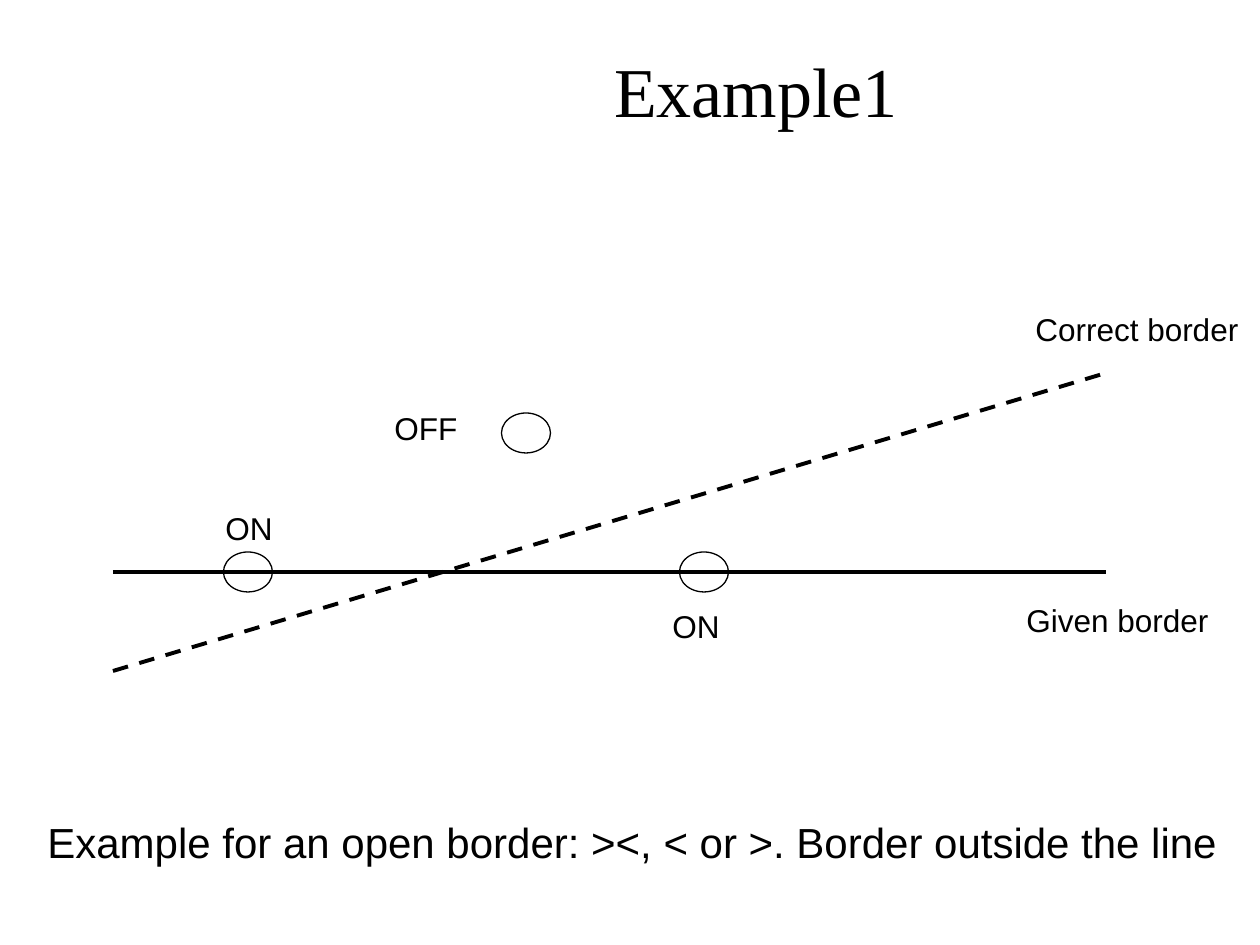
from lxml.etree import SubElement
from pptx import Presentation
from pptx.dml.color import RGBColor
from pptx.enum.dml import MSO_LINE
from pptx.enum.shapes import MSO_CONNECTOR, MSO_SHAPE
from pptx.enum.text import MSO_ANCHOR, PP_ALIGN
from pptx.oxml.ns import qn
from pptx.util import Pt

SCALE = 914400 / 126
COLORS = {"ink": "000000", "paper": "FFFFFF"}
LEFT, RIGHT = 113, 1106
GIVEN = 572
DOT_W, DOT_H = 49, 40


def px(n):
    return round(n * SCALE)


def color(name):
    return RGBColor.from_string(COLORS[name])


def write(frame, text, size=18, face="Arial", align=PP_ALIGN.LEFT,
          anchor=MSO_ANCHOR.TOP, wrap=False):
    frame.word_wrap = wrap
    frame.vertical_anchor = anchor
    para = frame.paragraphs[0]
    para.alignment = align
    run = para.add_run()
    run.text = text
    run.font.size = Pt(size)
    run.font.name = face
    run.font.color.rgb = color("ink")


def add_title(slide, text):
    title = slide.shapes.title
    title.left, title.top = px(353), px(26)
    title.width, title.height = px(806), px(127)
    write(title.text_frame, text, size=40, face="Times New Roman",
          align=PP_ALIGN.CENTER, anchor=MSO_ANCHOR.MIDDLE, wrap=True)


def add_label(slide, text, x, y, w, h=50, **style):
    box = slide.shapes.add_textbox(px(x), px(y), px(w), px(h))
    write(box.text_frame, text, **style)


def add_border(slide, start, end, dash=None):
    """Draw a border across the full width between two heights."""
    line = slide.shapes.add_connector(
        MSO_CONNECTOR.STRAIGHT, px(LEFT), px(start), px(RIGHT), px(end))
    line.line.color.rgb = color("ink")
    line.line.width = Pt(2.25)
    if dash:
        line.line.dash_style = dash
    SubElement(line._element.spPr, qn("a:effectLst"))


def add_point(slide, x, y):
    """Draw a test point centred on x, y."""
    dot = slide.shapes.add_shape(
        MSO_SHAPE.OVAL, px(x - DOT_W / 2), px(y - DOT_H / 2),
        px(DOT_W), px(DOT_H))
    dot.shadow.inherit = False
    dot.fill.background()
    dot.line.color.rgb = color("ink")
    dot.line.width = Pt(0.75)


def main():
    deck = Presentation()
    deck.slide_width, deck.slide_height = px(1260), px(945)
    slide = deck.slides.add_slide(deck.slide_layouts[5])
    slide.background.fill.solid()
    slide.background.fill.fore_color.rgb = color("paper")

    add_title(slide, "Example1")
    add_border(slide, GIVEN, GIVEN)
    add_border(slide, 671, 373, dash=MSO_LINE.DASH)
    for x, y in [(526, 433), (704, GIVEN), (248, GIVEN)]:
        add_point(slide, x, y)

    add_label(slide, "Correct border", 1023, 304, 237)
    add_label(slide, "Given border", 1014, 595, 207)
    add_label(slide, "OFF", 382, 403, 101, wrap=True)
    add_label(slide, "ON", 213, 503, 81)
    add_label(slide, "ON", 660, 601, 81)
    add_label(slide, "Example for an open border: ><, < or >. "
              "Border outside the line", 35, 810, 1206, 63, size=24)
    deck.save("out.pptx")


if __name__ == "__main__":
    main()
